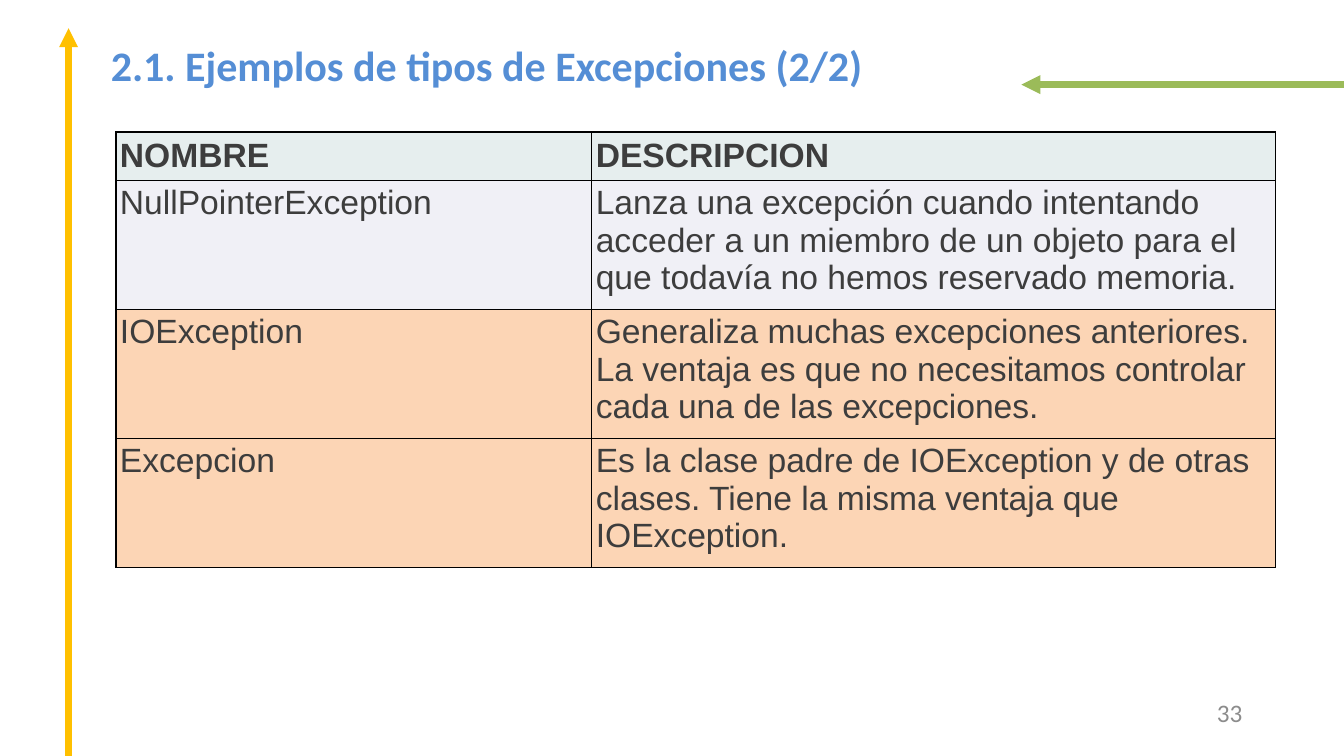
from lxml.etree import SubElement
from pptx import Presentation
from pptx.dml.color import RGBColor
from pptx.enum.shapes import MSO_CONNECTOR
from pptx.enum.text import MSO_ANCHOR, PP_ALIGN
from pptx.oxml.ns import qn
from pptx.util import Inches, Pt

TITLE = "2.1. Ejemplos de tipos de Excepciones (2/2)"
PAGE_NUMBER = "33"

BLUE = RGBColor(0x55, 0x8E, 0xD5)
GREEN = RGBColor(0x9B, 0xBB, 0x59)
GOLD = RGBColor(0xFF, 0xC0, 0x00)
GRAY = RGBColor(0x8C, 0x8C, 0x8C)
INK = RGBColor(0x3D, 0x3D, 0x3D)
MINT = RGBColor(0xE6, 0xEE, 0xEE)
LAVENDER = RGBColor(0xF0, 0xF0, 0xF6)
PEACH = RGBColor(0xFC, 0xD5, 0xB5)

COLUMN_WIDTHS = (4.72, 6.78)
ROWS = [
    (0.44, MINT, ["NOMBRE"], ["DESCRIPCION"]),
    (1.19, LAVENDER, ["NullPointerException"],
     ["Lanza una excepción cuando intentando acceder a un miembro de un objeto "
      "para el que todavía no hemos reservado memoria."]),
    (1.19, PEACH, ["IOException"],
     ["Generaliza muchas excepciones anteriores.",
      "La ventaja es que no necesitamos controlar cada una de las excepciones."]),
    (1.19, PEACH, ["Excepcion"],
     ["Es la clase padre de IOException y de otras clases. "
      "Tiene la misma ventaja que IOException."]),
]
ARROWS = [
    ((13.33, 0.84), (10.13, 0.84), GREEN),
    ((0.68, 7.5), (0.68, 0.28), GOLD),
]


def write(frame, lines, size, color, font="Calibri", bold=False, align=PP_ALIGN.LEFT):
    frame.word_wrap = True
    for index, line in enumerate(lines):
        para = frame.paragraphs[0] if index == 0 else frame.add_paragraph()
        para.alignment = align
        span = para.add_run()
        span.text = line
        span.font.name = font
        span.font.size = Pt(size)
        span.font.bold = bold
        span.font.color.rgb = color


def add_text(page, text, place, **style):
    box = page.shapes.add_textbox(*map(Inches, place))
    box.text_frame.vertical_anchor = MSO_ANCHOR.MIDDLE
    write(box.text_frame, [text], **style)


def add_arrow(page, start, end, color):
    arrow = page.shapes.add_connector(
        MSO_CONNECTOR.STRAIGHT, *map(Inches, start + end))
    arrow.line.color.rgb = color
    arrow.line.width = Pt(4.5)
    properties = arrow.element.spPr
    SubElement(properties.find(qn("a:ln")), qn("a:tailEnd"), type="triangle")
    SubElement(properties, qn("a:effectLst"))


def format_cell(cell, fill):
    cell.margin_left = cell.margin_right = Inches(0.04)
    cell.margin_top = cell.margin_bottom = Inches(0.04)
    properties = cell._tc.get_or_add_tcPr()
    for side in ("lnL", "lnR", "lnT", "lnB"):
        border = SubElement(properties, qn(f"a:{side}"), w=str(Pt(1)))
        paint = SubElement(border, qn("a:solidFill"))
        SubElement(paint, qn("a:srgbClr"), val="000000")
    cell.fill.solid()
    cell.fill.fore_color.rgb = fill


def add_exception_table(page):
    height = sum(row[0] for row in ROWS)
    table = page.shapes.add_table(
        len(ROWS), len(COLUMN_WIDTHS), Inches(1.15), Inches(1.31),
        Inches(sum(COLUMN_WIDTHS)), Inches(height)).table
    table.first_row = table.horz_banding = False
    for column, width in zip(table.columns, COLUMN_WIDTHS):
        column.width = Inches(width)
    for index, (row_height, fill, *texts) in enumerate(ROWS):
        table.rows[index].height = Inches(row_height)
        header = index == 0
        for cell, lines in zip(table.rows[index].cells, texts):
            format_cell(cell, fill)
            cell.vertical_anchor = MSO_ANCHOR.MIDDLE if header else MSO_ANCHOR.TOP
            write(cell.text_frame, lines, 24, INK, font="Arial", bold=header)


def main():
    deck = Presentation()
    deck.slide_width, deck.slide_height = Inches(13.33), Inches(7.5)
    page = deck.slides.add_slide(deck.slide_layouts[6])
    for start, end, color in ARROWS:
        add_arrow(page, start, end, color)
    add_text(page, TITLE, (1, 0.21, 12.05, 0.86), size=30, color=BLUE, bold=True)
    add_exception_table(page)
    add_text(page, PAGE_NUMBER, (9.42, 6.87, 3, 0.4), size=18, color=GRAY,
             align=PP_ALIGN.RIGHT)
    deck.save("out.pptx")


if __name__ == "__main__":
    main()
